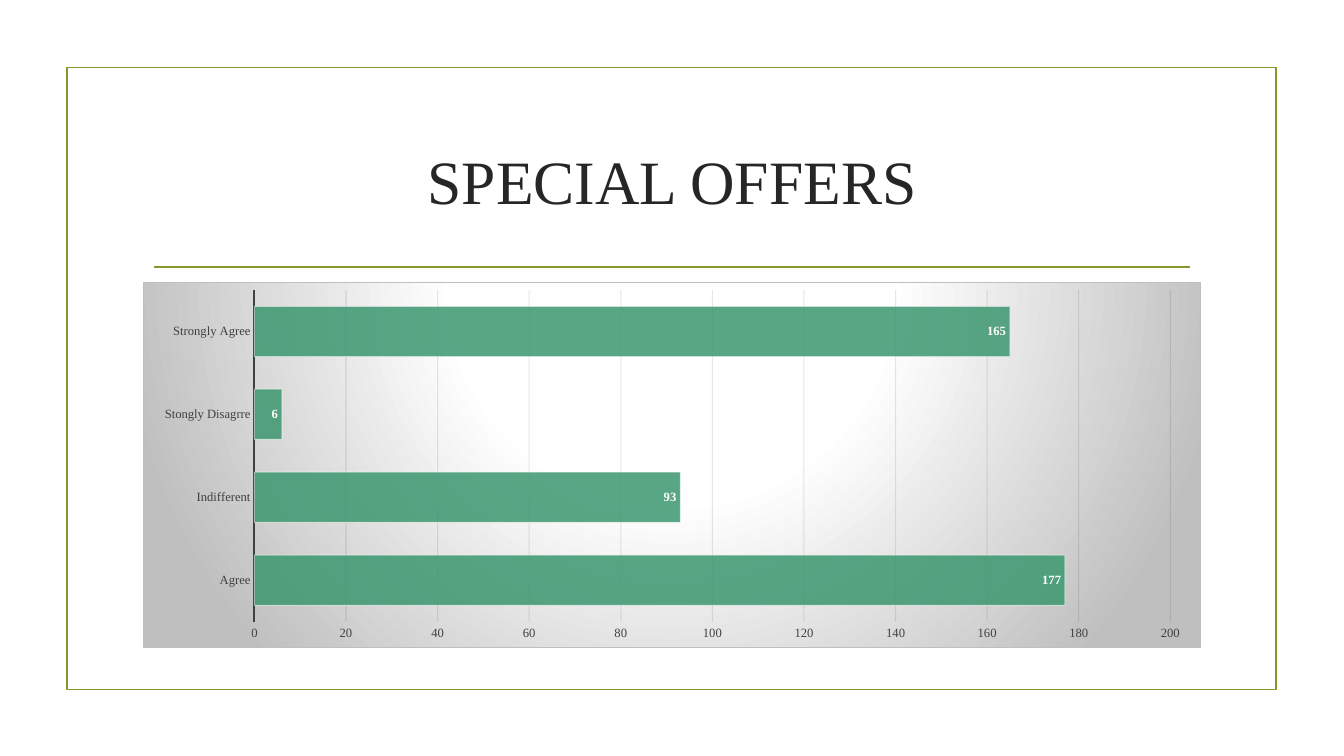
from lxml import etree
from pptx import Presentation
from pptx.chart.data import CategoryChartData
from pptx.dml.color import RGBColor
from pptx.enum import chart as charts, shapes, text
from pptx.oxml import parse_xml
from pptx.oxml.ns import qn
from pptx.util import Pt

FONT = "Times New Roman"
OLIVE = RGBColor(0x83, 0x99, 0x2A)
TITLE_GRAY = RGBColor(0x26, 0x26, 0x26)
AXIS_GRAY = RGBColor(0x40, 0x40, 0x40)
GRID_BLACK = RGBColor(0x0D, 0x0D, 0x0D)
BAR_GREEN = RGBColor(0x3C, 0x97, 0x70)
BLACK = RGBColor(0, 0, 0)
WHITE = RGBColor(0xFF, 0xFF, 0xFF)

CONTENT_LEFT, CONTENT_WIDTH = Pt(102.24), Pt(756)
ANSWERS = {"Agree": 177, "Indifferent": 93, "Stongly Disagrre": 6, "Strongly Agree": 165}

CHART_BACKGROUND = """
<c:spPr xmlns:c="http://schemas.openxmlformats.org/drawingml/2006/chart"
        xmlns:a="http://schemas.openxmlformats.org/drawingml/2006/main">
  <a:gradFill>
    <a:gsLst>
      <a:gs pos="0"><a:srgbClr val="FFFFFF"/></a:gs>
      <a:gs pos="39000"><a:srgbClr val="FFFFFF"/></a:gs>
      <a:gs pos="100000"><a:srgbClr val="BFBFBF"/></a:gs>
    </a:gsLst>
    <a:path path="circle"><a:fillToRect l="50000" t="-80000" r="50000" b="180000"/></a:path>
  </a:gradFill>
  <a:ln w="9525"><a:solidFill><a:srgbClr val="BFBFBF"/></a:solidFill></a:ln>
</c:spPr>
"""


def style_font(font, size, color, bold=False):
    font.name = FONT
    font.size = Pt(size)
    font.bold = bold
    font.color.rgb = color


def style_line(line, color, width):
    line.color.rgb = color
    line.width = Pt(width)


def set_opacity(fill, percent):
    color = fill._xPr.find(qn("a:solidFill"))[0]
    etree.SubElement(color, qn("a:alpha"), val=str(percent * 1000))


def add_frame(slide):
    frame = slide.shapes.add_shape(
        shapes.MSO_SHAPE.RECTANGLE, Pt(47.7), Pt(48.24), Pt(864), Pt(444.24))
    frame.shadow.inherit = False
    frame.fill.background()
    style_line(frame.line, OLIVE, 1.25)


def add_divider(slide):
    divider = slide.shapes.add_connector(
        shapes.MSO_CONNECTOR.STRAIGHT, Pt(110.16), Pt(190.8), Pt(850.32), Pt(190.8))
    style_line(divider.line, OLIVE, 1.25)
    etree.SubElement(divider._element.spPr, qn("a:effectLst"))


def set_title(slide, wording):
    title = slide.shapes.title
    title.left, title.top = CONTENT_LEFT, Pt(77.04)
    title.width, title.height = CONTENT_WIDTH, Pt(102.96)
    title.text_frame.vertical_anchor = text.MSO_ANCHOR.MIDDLE
    paragraph = title.text_frame.paragraphs[0]
    paragraph.alignment = text.PP_ALIGN.CENTER
    run = paragraph.add_run()
    run.text = wording
    style_font(run.font, 44, TITLE_GRAY)


def style_axes(chart):
    for axis in (chart.category_axis, chart.value_axis):
        axis.major_tick_mark = charts.XL_TICK_MARK.NONE
        axis.minor_tick_mark = charts.XL_TICK_MARK.NONE
        style_font(axis.tick_labels.font, 9, AXIS_GRAY)
    style_line(chart.category_axis.format.line, AXIS_GRAY, 1.5)
    value_axis = chart.value_axis
    value_axis.minimum_scale, value_axis.maximum_scale = 0, 200
    value_axis.major_unit = 20
    value_axis.format.line.fill.background()
    grid = value_axis.major_gridlines.format.line
    style_line(grid, GRID_BLACK, 0.75)
    set_opacity(grid.fill, 10)


def style_bars(plot):
    plot.gap_width = 65
    plot.vary_by_categories = False
    bars = plot.series[0]
    bars.format.fill.solid()
    bars.format.fill.fore_color.rgb = BAR_GREEN
    set_opacity(bars.format.fill, 85)
    style_line(bars.format.line, WHITE, 0.75)
    set_opacity(bars.format.line.fill, 50)
    labels = bars.data_labels
    labels.show_value = True
    labels.position = charts.XL_LABEL_POSITION.INSIDE_END
    style_font(labels.font, 9, WHITE, bold=True)


def add_answer_chart(slide):
    data = CategoryChartData()
    data.categories = list(ANSWERS)
    data.add_series("Series 1", list(ANSWERS.values()))
    chart = slide.shapes.add_chart(
        charts.XL_CHART_TYPE.BAR_CLUSTERED, CONTENT_LEFT, Pt(201.6),
        CONTENT_WIDTH, Pt(261.36), data).chart
    chart.has_legend = False
    chart.has_title = False
    style_font(chart.font, 10, BLACK)
    style_axes(chart)
    style_bars(chart.plots[0])
    chart._chartSpace.find(qn("c:chart")).addnext(parse_xml(CHART_BACKGROUND))


def main():
    presentation = Presentation()
    presentation.slide_width, presentation.slide_height = Pt(960), Pt(540)
    slide = presentation.slides.add_slide(presentation.slide_layouts[5])
    add_frame(slide)
    add_divider(slide)
    set_title(slide, "SPECIAL OFFERS")
    add_answer_chart(slide)
    presentation.save("out.pptx")


if __name__ == "__main__":
    main()
